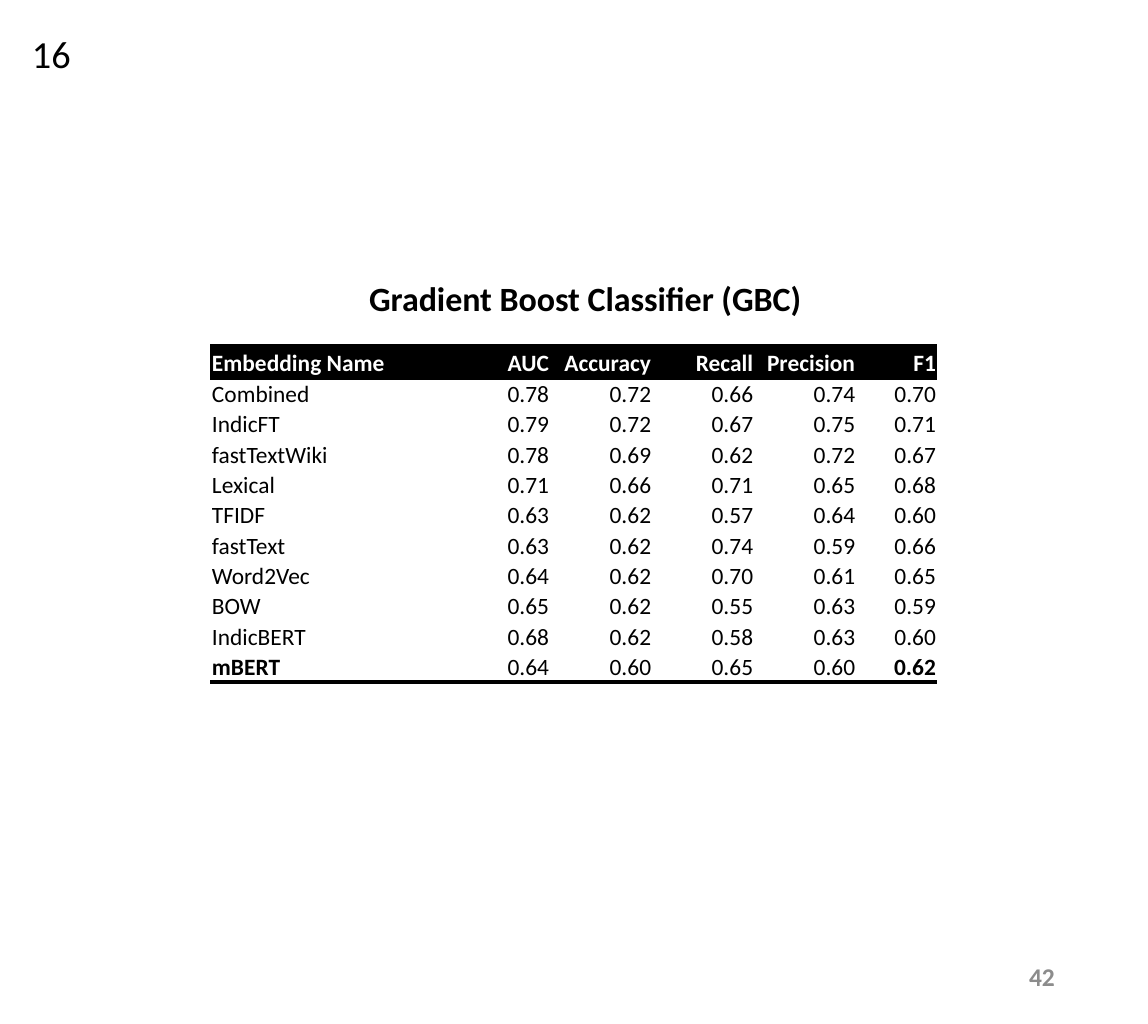
"""Build the slide with the results table of the gradient boost classifier."""
from lxml import etree
from pptx import Presentation
from pptx.dml.color import RGBColor
from pptx.enum.text import MSO_ANCHOR, MSO_AUTO_SIZE, PP_ALIGN
from pptx.oxml.ns import qn
from pptx.util import Pt

LEFT, CENTER, RIGHT = PP_ALIGN.LEFT, PP_ALIGN.CENTER, PP_ALIGN.RIGHT
TOP, MIDDLE, BOTTOM = MSO_ANCHOR.TOP, MSO_ANCHOR.MIDDLE, MSO_ANCHOR.BOTTOM
NO_AUTOFIT = MSO_AUTO_SIZE.NONE

BLACK = RGBColor(0x00, 0x00, 0x00)
WHITE = RGBColor(0xFF, 0xFF, 0xFF)
GREY = RGBColor(0x8C, 0x8C, 0x8C)

FONT = "Calibri"
RULE_WIDTH = Pt(2)
COLUMN_WIDTHS = [112, 48, 48, 48, 48, 38]
HEADER_HEIGHT, ROW_HEIGHT = 15.5, 14.2
CELL_FORMAT = {
    "margin_left": Pt(0.7),
    "margin_right": Pt(0.7),
    "margin_top": Pt(0.7),
    "margin_bottom": 0,
    "vertical_anchor": BOTTOM,
}

RESULTS = [
    ["Embedding Name", "AUC", "Accuracy", "Recall", "Precision", "F1"],
    ["Combined", "0.78", "0.72", "0.66", "0.74", "0.70"],
    ["IndicFT", "0.79", "0.72", "0.67", "0.75", "0.71"],
    ["fastTextWiki", "0.78", "0.69", "0.62", "0.72", "0.67"],
    ["Lexical", "0.71", "0.66", "0.71", "0.65", "0.68"],
    ["TFIDF", "0.63", "0.62", "0.57", "0.64", "0.60"],
    ["fastText", "0.63", "0.62", "0.74", "0.59", "0.66"],
    ["Word2Vec", "0.64", "0.62", "0.70", "0.61", "0.65"],
    ["BOW", "0.65", "0.62", "0.55", "0.63", "0.59"],
    ["IndicBERT", "0.68", "0.62", "0.58", "0.63", "0.60"],
    ["mBERT", "0.64", "0.60", "0.65", "0.60", "0.62"],
]


def apply_format(target, values):
    """Set every attribute named in values on the target."""
    for name, value in values.items():
        setattr(target, name, value)


def write_text(text_frame, text, size, color, bold=False, alignment=LEFT):
    """Write one formatted paragraph into a text frame."""
    paragraph = text_frame.paragraphs[0]
    paragraph.alignment = alignment
    run = paragraph.add_run()
    run.text = text
    apply_format(run.font, {"name": FONT, "size": Pt(size), "bold": bold})
    run.font.color.rgb = color


def format_frame(text_frame, anchor=TOP, wrap=True):
    """Give a text frame its insets, anchor and wrapping."""
    apply_format(text_frame, {
        "margin_left": Pt(7.2),
        "margin_right": Pt(7.2),
        "margin_top": Pt(3.6),
        "margin_bottom": Pt(3.6),
        "vertical_anchor": anchor,
        "word_wrap": wrap,
        "auto_size": NO_AUTOFIT,
    })


def add_title(slide, text):
    """Place and format the title placeholder."""
    title = slide.shapes.title
    apply_format(title, {"left": Pt(127.4), "top": Pt(126.7),
                         "width": Pt(296), "height": Pt(26.6)})
    format_frame(title.text_frame)
    write_text(title.text_frame, text, 16, BLACK, True, CENTER)


def add_label(slide, box, text, size, color, bold=False, alignment=LEFT,
              anchor=TOP, wrap=True):
    """Add a text box with a single line."""
    shape = slide.shapes.add_textbox(*map(Pt, box))
    format_frame(shape.text_frame, anchor, wrap)
    write_text(shape.text_frame, text, size, color, bold, alignment)


def set_borders(cell, top, bottom):
    """Draw the wanted horizontal rules of a cell and clear its other sides."""
    properties = cell._tc.get_or_add_tcPr()
    sides = {"a:lnL": False, "a:lnR": False, "a:lnT": top, "a:lnB": bottom}
    for tag, ruled in sides.items():
        line = etree.SubElement(properties, qn(tag))
        if ruled:
            line.set("w", str(RULE_WIDTH))
            fill = etree.SubElement(line, qn("a:solidFill"))
            etree.SubElement(fill, qn("a:srgbClr"), val=str(BLACK))
        else:
            etree.SubElement(line, qn("a:noFill"))


def add_results_table(slide, left, top):
    """Add the table of scores with its black header."""
    heights = [HEADER_HEIGHT] + [ROW_HEIGHT] * (len(RESULTS) - 1)
    frame = slide.shapes.add_table(
        len(RESULTS), len(COLUMN_WIDTHS), Pt(left), Pt(top),
        Pt(sum(COLUMN_WIDTHS)), Pt(sum(heights)))
    table = frame.table
    apply_format(table, {"first_row": False, "horz_banding": False})
    for column, width in zip(table.columns, COLUMN_WIDTHS):
        column.width = Pt(width)
    last_row, last_column = len(RESULTS) - 1, len(COLUMN_WIDTHS) - 1
    for row_index, values in enumerate(RESULTS):
        table.rows[row_index].height = Pt(heights[row_index])
        header = row_index == 0
        for column_index, value in enumerate(values):
            cell = table.cell(row_index, column_index)
            apply_format(cell, CELL_FORMAT)
            set_borders(cell, row_index < 2, row_index in (0, last_row))
            cell.fill.solid()
            cell.fill.fore_color.rgb = BLACK if header else WHITE
            emphasized = (row_index == last_row
                          and column_index in (0, last_column))
            write_text(cell.text_frame, value, 11,
                       WHITE if header else BLACK, header or emphasized,
                       RIGHT if column_index else LEFT)


def main():
    """Create the presentation and save it."""
    presentation = Presentation()
    apply_format(presentation,
                 {"slide_width": Pt(540), "slide_height": Pt(481.7)})
    slide = presentation.slides.add_slide(presentation.slide_layouts[5])
    add_title(slide, "Gradient Boost Classifier (GBC)")
    add_label(slide, (381.6, 446.4, 121.7, 25.9), "42", 12, GREY,
              bold=True, alignment=RIGHT, anchor=MIDDLE)
    add_label(slide, (8, 10.8, 33, 29), "16", 18, BLACK, wrap=False)
    add_results_table(slide, 99, 162.5)
    presentation.save("out.pptx")


if __name__ == "__main__":
    main()
